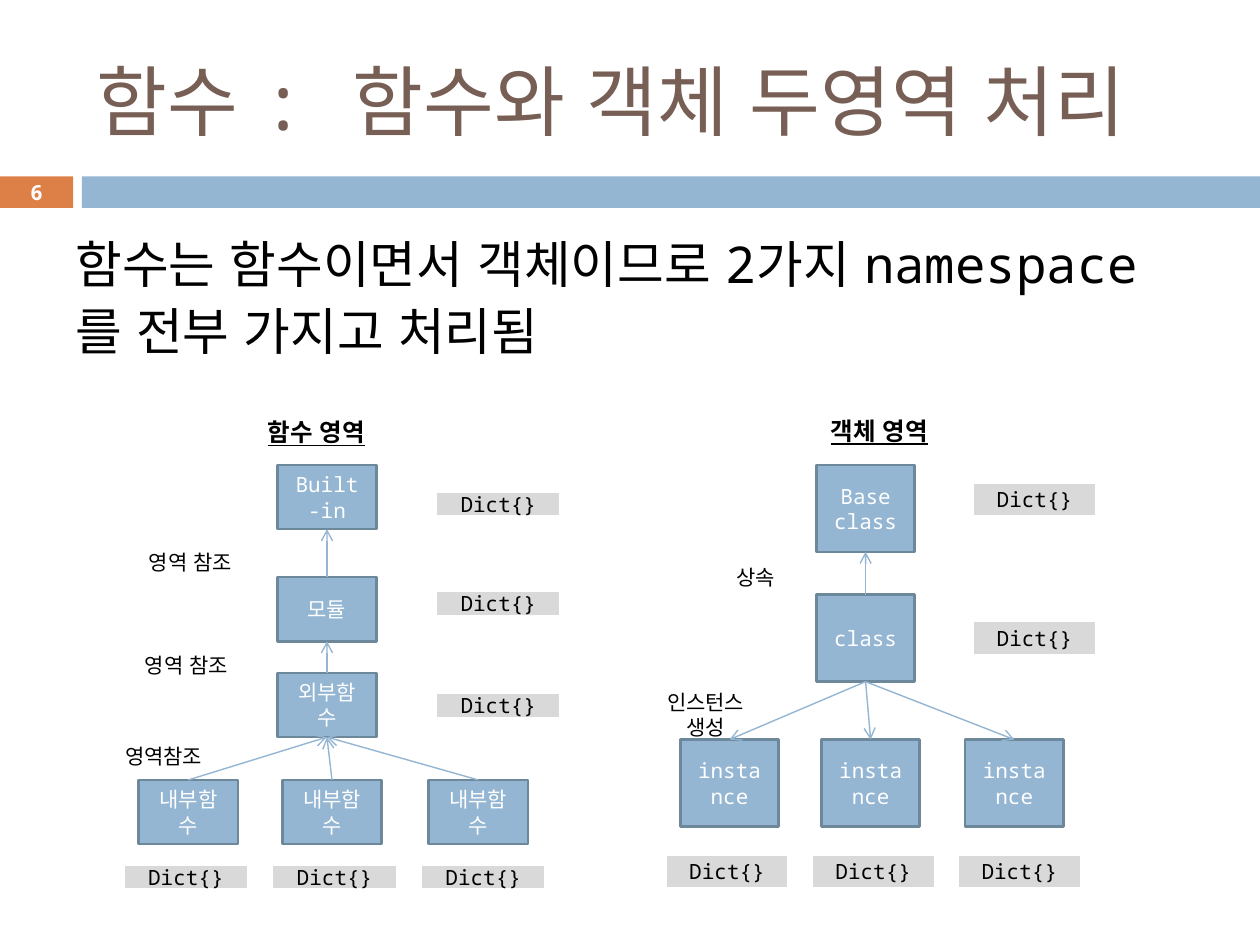
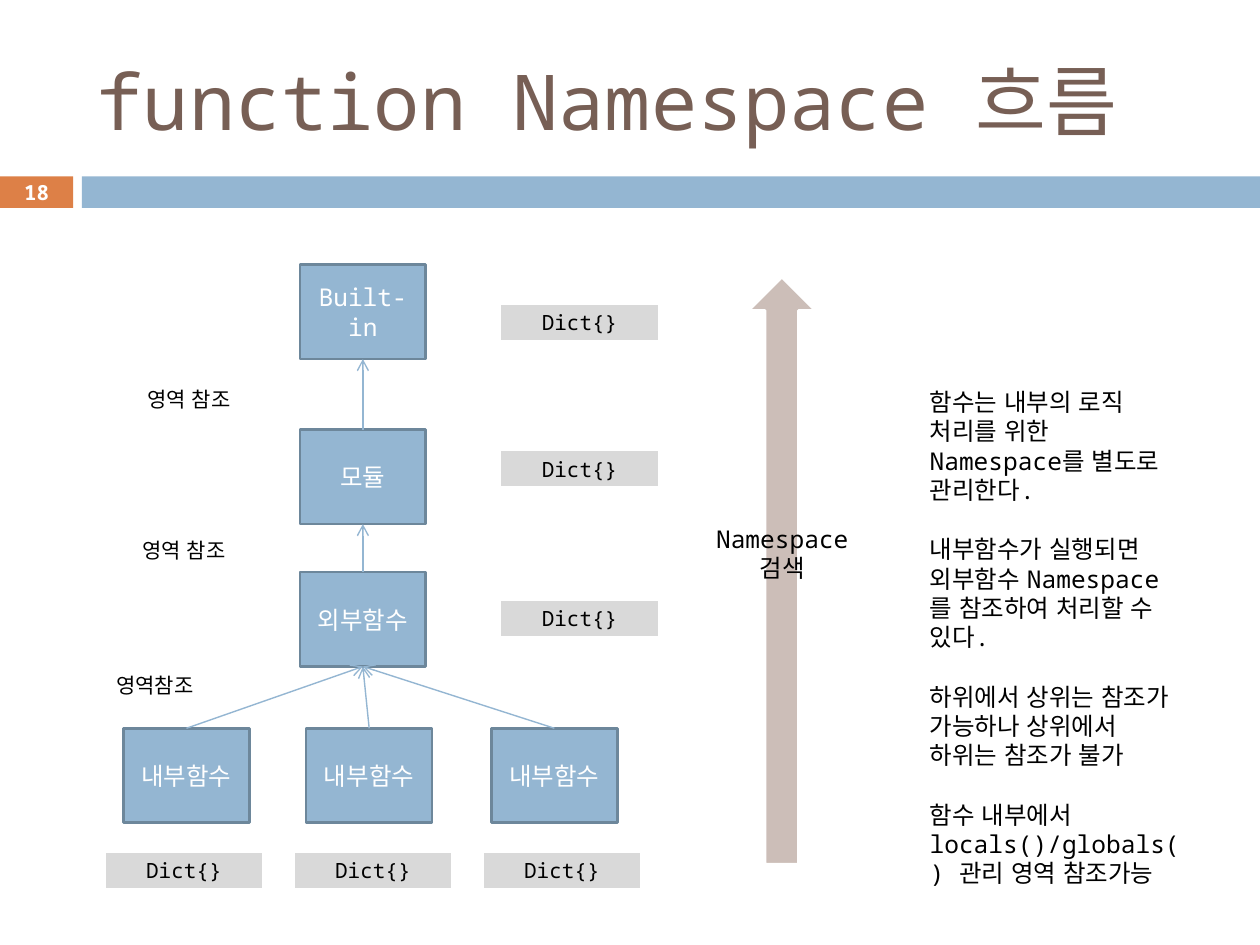
import dataclasses

import lxml.etree
import pptx
import pptx.dml.color
import pptx.enum.lang
import pptx.enum.shapes
import pptx.enum.text
import pptx.oxml.ns
import pptx.util

Inches = pptx.util.Inches
Pt = pptx.util.Pt
Shape = pptx.enum.shapes.MSO_SHAPE
Align = pptx.enum.text.PP_ALIGN
Anchor = pptx.enum.text.MSO_ANCHOR

FONT = "Noto Sans Mono"
BLUE, EDGE, ORANGE, BROWN = "94B6D2", "6D879B", "DD8047", "775F55"
GREY, BEIGE, WHITE, BLACK = "D9D9D9", "CCBEB8", "FFFFFF", "000000"
DICT = "Dict{}"


@dataclasses.dataclass(frozen=True)
class Style:
    size: float = 12
    color: str = BLACK
    bold: bool = False
    line: bool = False
    align: Align = Align.CENTER
    anchor: Anchor = Anchor.TOP
    before: float = 0
    pitch: float = 1.0


@dataclasses.dataclass(frozen=True)
class Area:
    left: float
    top: float
    width: float
    height: float

    def lengths(self) -> list:
        return [Inches(n) for n in dataclasses.astuple(self)]


@dataclasses.dataclass(frozen=True)
class Label:
    text: str
    area: Area


@dataclasses.dataclass(frozen=True)
class Node:
    text: str
    top: float
    dict_top: float


@dataclasses.dataclass(frozen=True)
class Tree:
    """A chain of boxes over a row of leaves, with a dict for each box."""
    chain: list[Node]
    left: float
    box: tuple[float, float]
    size: float
    leaf: str
    leaf_top: float
    leaf_lefts: list[float]
    dict_box: tuple[float, float]
    dict_left: float
    row_left: float
    row_step: float
    row_top: float
    labels: list[Label]
    down: bool = False


TITLE = Style(44, BROWN, align=Align.LEFT, anchor=Anchor.MIDDLE)
BODY = Style(29, align=Align.LEFT, before=7, pitch=1.1)
NUMBER = Style(11.9, WHITE, bold=True, anchor=Anchor.MIDDLE)
HEAD = Style(14, bold=True, line=True)
NOTE = Style(14, align=Align.LEFT, before=17)
MARK = Style(14)
SMALL = Style()
CELL = Style(anchor=Anchor.MIDDLE)


def rgb(code: str) -> pptx.dml.color.RGBColor:
    return pptx.dml.color.RGBColor.from_string(code)


def write(shape, lines: list[str], style: Style) -> None:
    frame = shape.text_frame
    frame.word_wrap = True
    frame.vertical_anchor = style.anchor
    for i, line in enumerate(lines):
        para = frame.add_paragraph() if i else frame.paragraphs[0]
        para.alignment = style.align
        para.line_spacing = style.pitch
        # Notes are only spaced between paragraphs
        if i or style is BODY:
            para.space_before = Pt(style.before)
        run = para.add_run()
        run.text = line
        font = run.font
        font.size, font.name = Pt(style.size), FONT
        font.bold, font.underline = style.bold, style.line
        font.color.rgb = rgb(style.color)
        font.language_id = pptx.enum.lang.MSO_LANGUAGE_ID.KOREAN


def add_text(slide, area: Area, lines: list[str], style: Style) -> None:
    write(slide.shapes.add_textbox(*area.lengths()), lines, style)


def add_box(slide, area: Area, fill: str, edge: str | None = None,
            text: str = "", style: Style = CELL, kind: Shape = Shape.RECTANGLE):
    shape = slide.shapes.add_shape(kind, *area.lengths())
    shape.shadow.inherit = False
    shape.fill.solid()
    shape.fill.fore_color.rgb = rgb(fill)
    if edge:
        shape.line.color.rgb = rgb(edge)
        shape.line.width = Pt(1.5)
    else:
        shape.line.fill.background()
    if text:
        write(shape, [text], style)
    return shape


def add_arrow(slide, start, start_side: int, end, end_side: int) -> None:
    line = slide.shapes.add_connector(pptx.enum.shapes.MSO_CONNECTOR.STRAIGHT, 0, 0, 0, 0)
    line.begin_connect(start, start_side)
    line.end_connect(end, end_side)
    line.line.color.rgb = rgb(BLUE)
    line.line.width = Pt(0.79)
    qn = pptx.oxml.ns.qn
    lxml.etree.SubElement(line.line._get_or_add_ln(), qn("a:tailEnd")).set("type", "arrow")
    lxml.etree.SubElement(line._element.spPr, qn("a:effectLst"))


def draw_tree(slide, tree: Tree) -> None:
    style = Style(tree.size, WHITE, anchor=Anchor.MIDDLE)

    def add_node(text: str, left: float, top: float):
        return add_box(slide, Area(left, top, *tree.box), BLUE, EDGE, text, style)

    def add_dict(left: float, top: float) -> None:
        add_box(slide, Area(left, top, *tree.dict_box), GREY, WHITE, DICT)

    # Chain, each box pointing to the one above
    last = None
    for node in tree.chain:
        box = add_node(node.text, tree.left, node.top)
        add_dict(tree.dict_left, node.dict_top)
        if last is not None:
            add_arrow(slide, box, 0, last, 2)
        last = box

    # Leaves and their dicts
    for i, left in enumerate(tree.leaf_lefts):
        leaf = add_node(tree.leaf, left, tree.leaf_top)
        add_dict(tree.row_left + i * tree.row_step, tree.row_top)
        if tree.down:
            add_arrow(slide, last, 2, leaf, 0)
        else:
            add_arrow(slide, leaf, 0, last, 2)

    for label in tree.labels:
        add_text(slide, label.area, [label.text], SMALL)


def start_slide(deck, title: str, number: int):
    slide = deck.slides.add_slide(deck.slide_layouts[6])
    add_box(slide, Area(0, 1.4, 0.58, 0.25), ORANGE)
    add_box(slide, Area(0.65, 1.4, 9.35, 0.25), BLUE)
    # The title box runs to the slide's edge, so that it stays on one line
    add_text(slide, Area(0.67, 0.25, 9.33, 1.08), [title], TITLE)
    add_text(slide, Area(0, 1.39, 0.58, 0.27), [str(number)], NUMBER)
    return slide


SCOPE = Tree(
    chain=[Node("Built-in", 3.69, 3.9), Node("모듈", 4.58, 4.69),
           Node("외부함수", 5.34, 5.5)],
    left=2.2, box=(0.79, 0.51), size=12,
    leaf="내부함수", leaf_top=6.19, leaf_lefts=[1.1, 2.24, 3.4],
    dict_box=(0.99, 0.2), dict_left=3.46,
    row_left=0.98, row_step=1.18, row_top=6.86,
    labels=[Label("영역 참조", Area(0.95, 4.31, 1.12, 0.28)),
            Label("영역 참조", Area(0.92, 5.13, 1.12, 0.28)),
            Label("영역참조", Area(0.73, 5.85, 1.14, 0.28))],
)
OBJECT = Tree(
    chain=[Node("Base class", 3.69, 3.83), Node("class", 4.72, 4.93)],
    left=6.48, box=(0.78, 0.69), size=12,
    leaf="instance", leaf_top=5.87, leaf_lefts=[5.4, 6.52, 7.66],
    dict_box=(0.98, 0.27), dict_left=7.72,
    row_left=5.28, row_step=1.16, row_top=6.78,
    labels=[Label("상속", Area(5.67, 4.43, 0.65, 0.26)),
            Label("인스턴스 생성", Area(5.04, 5.42, 1.12, 0.44))],
    down=True,
)
FLOW = Tree(
    chain=[Node("Built-in", 2.1, 2.41), Node("모듈", 3.41, 3.57),
           Node("외부함수", 4.54, 4.76)],
    left=2.38, box=(1, 0.75), size=14,
    leaf="내부함수", leaf_top=5.78, leaf_lefts=[0.98, 2.43, 3.9],
    dict_box=(1.26, 0.3), dict_left=3.97,
    row_left=0.83, row_step=1.5, row_top=6.76,
    labels=[Label("영역 참조", Area(0.79, 3.02, 1.42, 0.23)),
            Label("영역 참조", Area(0.75, 4.22, 1.42, 0.23)),
            Label("영역참조", Area(0.51, 5.29, 1.44, 0.23))],
)
NOTES = [
    "함수는 내부의 로직 처리를 위한 Namespace를 별도로 관리한다.",
    "내부함수가 실행되면 외부함수 Namespace를 참조하여 처리할 수 있다.",
    "하위에서 상위는 참조가 가능하나 상위에서 하위는 참조가 불가",
    "함수 내부에서 locals()/globals() 관리 영역 참조가능",
]


def main() -> None:
    deck = pptx.Presentation()
    deck.slide_width, deck.slide_height = Inches(10), Inches(7.5)

    # Two areas of a function
    slide = start_slide(deck, "함수 : 함수와 객체 두영역 처리", 6)
    add_text(slide, Area(0.5, 1.75, 9, 1.21),
             ["함수는 함수이면서 객체이므로 2가지 namespace를 전부 가지고 처리됨"], BODY)
    draw_tree(slide, SCOPE)
    draw_tree(slide, OBJECT)
    add_text(slide, Area(1.22, 3.26, 2.58, 0.34), ["함수 영역"], HEAD)
    add_text(slide, Area(5.69, 3.25, 2.58, 0.34), ["객체 영역"], HEAD)

    # Search through the namespaces
    slide = start_slide(deck, "function Namespace 흐름", 18)
    add_box(slide, Area(5.94, 2.2, 0.53, 4.66), BEIGE, WHITE, kind=Shape.UP_ARROW)
    add_text(slide, Area(5.46, 4.11, 1.5, 0.57), ["Namespace", "검색"], MARK)
    add_text(slide, Area(7.28, 3.02, 2.2, 3.87), NOTES, NOTE)
    draw_tree(slide, FLOW)

    deck.save("out.pptx")


if __name__ == "__main__":
    main()
